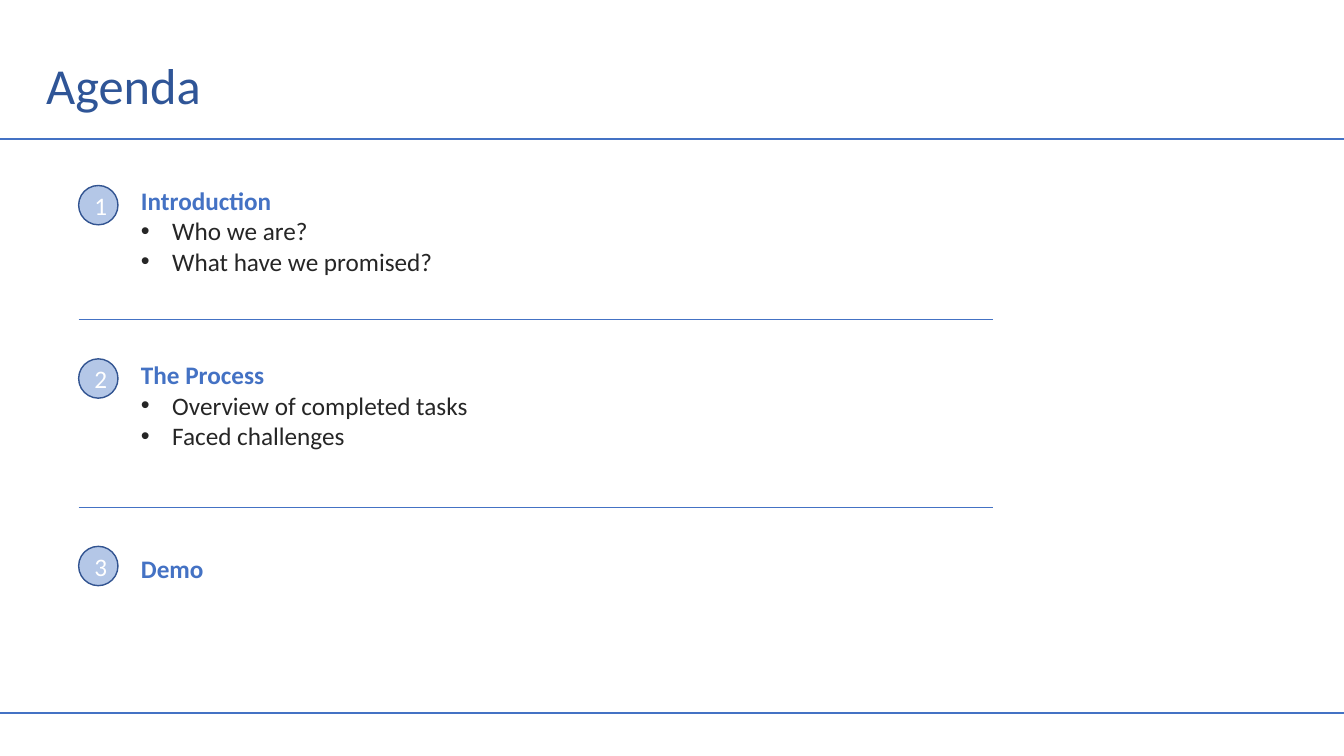
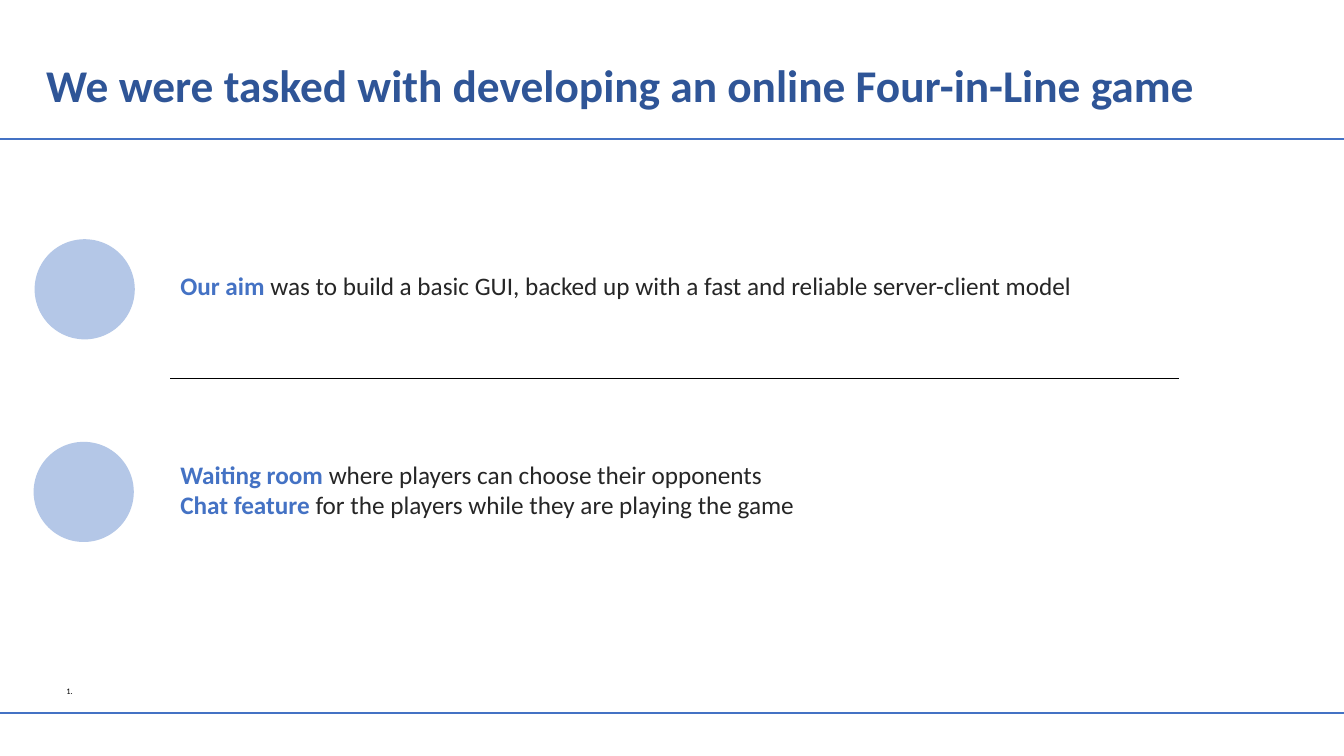
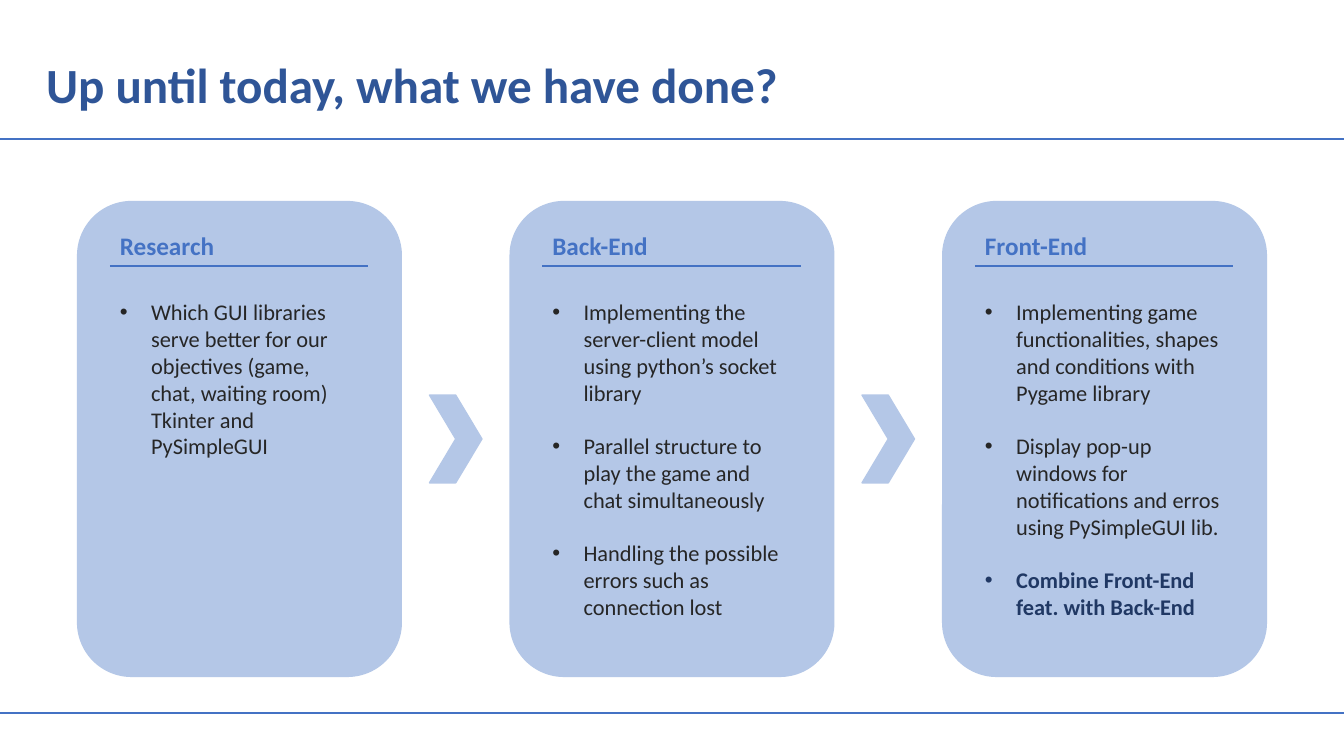
from lxml.etree import SubElement
from pptx import Presentation
from pptx.dml.color import RGBColor
from pptx.enum.shapes import MSO_CONNECTOR, MSO_SHAPE
from pptx.enum.text import MSO_ANCHOR, PP_ALIGN
from pptx.oxml.ns import qn
from pptx.util import Inches, Pt

# Shared style
FONT = "Calibri"
BLUE = RGBColor(0x44, 0x72, 0xC4)
TITLE_BLUE = RGBColor(0x2F, 0x55, 0x97)
PALE_BLUE = RGBColor(0xB4, 0xC7, 0xE7)
OUTLINE_BLUE = RGBColor(0x32, 0x54, 0x91)
NAVY = RGBColor(0x20, 0x38, 0x64)
DARK = RGBColor(0x26, 0x26, 0x26)
BLACK = RGBColor(0, 0, 0)
WHITE = RGBColor(0xFF, 0xFF, 0xFF)
PAGE_WIDTH, PAGE_HEIGHT = 13.33, 7.5
INDENT = 0.31


# Element helpers
def style_font(font, size, color, bold=False):
    font.name = FONT
    font.size = Pt(size)
    font.color.rgb = color
    font.bold = bold


def add_rule(page, left, right, top, color=BLUE, width=0.5):
    rule = page.shapes.add_connector(
        MSO_CONNECTOR.STRAIGHT,
        Inches(left), Inches(top), Inches(right), Inches(top))
    rule.line.color.rgb = color
    rule.line.width = Pt(width)
    SubElement(rule._element.spPr, qn("a:effectLst"))


def add_filled_shape(page, kind, left, top, width, height, outline=PALE_BLUE):
    shape = page.shapes.add_shape(
        kind, Inches(left), Inches(top), Inches(width), Inches(height))
    shape.shadow.inherit = False
    shape.fill.solid()
    shape.fill.fore_color.rgb = PALE_BLUE
    shape.line.color.rgb = outline
    shape.line.width = Pt(1)
    return shape


def add_text_frame(page, left, top, width, height):
    box = page.shapes.add_textbox(
        Inches(left), Inches(top), Inches(width), Inches(height))
    box.text_frame.word_wrap = True
    return box.text_frame


def next_para(frame):
    """Return the empty first paragraph, or a new one after the others."""
    first = frame.paragraphs[0]
    return frame.add_paragraph() if first.runs else first


def add_para(frame, text, size, color, bold=False):
    para = next_para(frame)
    para.add_run().text = text
    style_font(para.font, size, color, bold)
    return para


def add_bullet(frame, text, size, color=DARK, bold=False):
    para = next_para(frame)
    properties = para._p.get_or_add_pPr()
    properties.set("marL", str(Inches(INDENT)))
    properties.set("indent", str(-Inches(INDENT)))
    SubElement(properties, qn("a:buFont"), typeface="Arial")
    SubElement(properties, qn("a:buChar"), char="•")
    para.add_run().text = text
    style_font(para.font, size, color, bold)
    return para


def add_lead_para(frame, lead, rest):
    para = next_para(frame)
    for text, color, bold in ((lead, BLUE, True), (rest, DARK, False)):
        span = para.add_run()
        span.text = text
        style_font(span.font, 18, color, bold)


def add_page(deck, title, size, bold=True):
    """Add a page with the title and the two full-width rules."""
    page = deck.slides.add_slide(deck.slide_layouts[6])
    for top in (1.38, 7.07):
        add_rule(page, 0, PAGE_WIDTH, top, width=1.5)
    frame = add_text_frame(page, 0.36, 0.38, 12.31, 0.98)
    frame.vertical_anchor = MSO_ANCHOR.MIDDLE
    add_para(frame, title, size, TITLE_BLUE, bold).line_spacing = 0.9
    return page


# Agenda
def add_agenda_item(page, number, badge_top, text_top, heading, points):
    badge = add_filled_shape(
        page, MSO_SHAPE.OVAL, 0.78, badge_top, 0.39, 0.39, OUTLINE_BLUE)
    badge.text_frame.vertical_anchor = MSO_ANCHOR.MIDDLE
    add_para(badge.text_frame, str(number), 18, WHITE).alignment = PP_ALIGN.CENTER
    frame = add_text_frame(page, 1.3, text_top, 5.86, 0.51 + 0.31 * len(points))
    add_para(frame, heading, 18, BLUE, True).line_spacing = 1.5
    for point in points:
        add_bullet(frame, point, 18)


def build_agenda(deck):
    page = add_page(deck, "Agenda", 36, bold=False)
    items = (
        (1.84, 1.64, "Introduction", ("Who we are?", "What have we promised?")),
        (3.56, 3.37, "The Process",
         ("Overview of completed tasks", "Faced challenges")),
        (5.42, 5.29, "Demo", ()),
    )
    for number, item in enumerate(items, 1):
        add_agenda_item(page, number, *item)
    for top in (3.17, 5.03):
        add_rule(page, 0.78, 9.85, top)


# Task
def build_task(deck):
    page = add_page(
        deck, "We were tasked with developing an online Four-in-Line game", 32.4)
    sections = (
        (0.35, 2.38, 2.63, (
            ("Our aim ", "was to build a basic GUI, backed up with a fast "
                         "and reliable server-client model"),)),
        (0.34, 4.39, 4.51, (
            ("Waiting room ", "where players can choose their opponents"),
            ("Chat feature ", "for the players while they are playing the game"))),
    )
    for disc_left, disc_top, text_top, lines in sections:
        add_filled_shape(page, MSO_SHAPE.OVAL, disc_left, disc_top, 0.98, 0.98)
        frame = add_text_frame(page, 1.69, text_top, 10, 0.1 + 0.3 * len(lines))
        for lead, rest in lines:
            add_lead_para(frame, lead, rest)
    add_rule(page, 1.69, 11.69, 3.75, BLACK)
    add_para(add_text_frame(page, 0.56, 6.76, 12.15, 0.2), "1.", 6, BLACK)


# Progress
def add_card(page, left, heading, points):
    add_filled_shape(page, MSO_SHAPE.ROUNDED_RECTANGLE, left, 2, 3.21, 4.71)
    text_left, text_width = left + 0.32, 2.56
    add_rule(page, text_left, text_left + text_width, 2.64, width=1)
    frame = add_text_frame(page, text_left, 2.24, text_width, 0.4)
    add_para(frame, heading, 18, BLUE, True)
    frame = add_text_frame(page, text_left, 2.91, text_width, 3.6)
    for index, (text, *emphasis) in enumerate(points):
        para = add_bullet(frame, text, 16, *emphasis)
        if index:
            para.space_before = Pt(19)


def build_progress(deck):
    page = add_page(deck, "Up until today, what we have done?", 35.1)
    cards = (
        ("Research", (
            ("Which GUI libraries serve better for our objectives (game, chat, "
             "waiting room) Tkinter and PySimpleGUI",),)),
        ("Back-End", (
            ("Implementing the server-client model using python’s socket library",),
            ("Parallel structure to play the game and chat simultaneously",),
            ("Handling the possible errors such as connection lost",))),
        ("Front-End", (
            ("Implementing game functionalities, shapes and conditions with "
             "Pygame library",),
            ("Display pop-up windows for notifications and erros using "
             "PySimpleGUI lib.",),
            ("Combine Front-End feat. with Back-End", NAVY, True))),
    )
    margin, card_width, chevron_width = 0.77, 3.21, 0.52
    gap = (PAGE_WIDTH - 2 * margin - len(cards) * card_width) / (len(cards) - 1)
    for index, (heading, points) in enumerate(cards):
        left = margin + index * (card_width + gap)
        add_card(page, left, heading, points)
        if index:
            add_filled_shape(page, MSO_SHAPE.CHEVRON,
                             left - (gap + chevron_width) / 2, 3.92,
                             chevron_width, 0.87)


def main():
    deck = Presentation()
    deck.slide_width = Inches(PAGE_WIDTH)
    deck.slide_height = Inches(PAGE_HEIGHT)
    build_agenda(deck)
    build_task(deck)
    build_progress(deck)
    deck.save("out.pptx")


if __name__ == "__main__":
    main()
